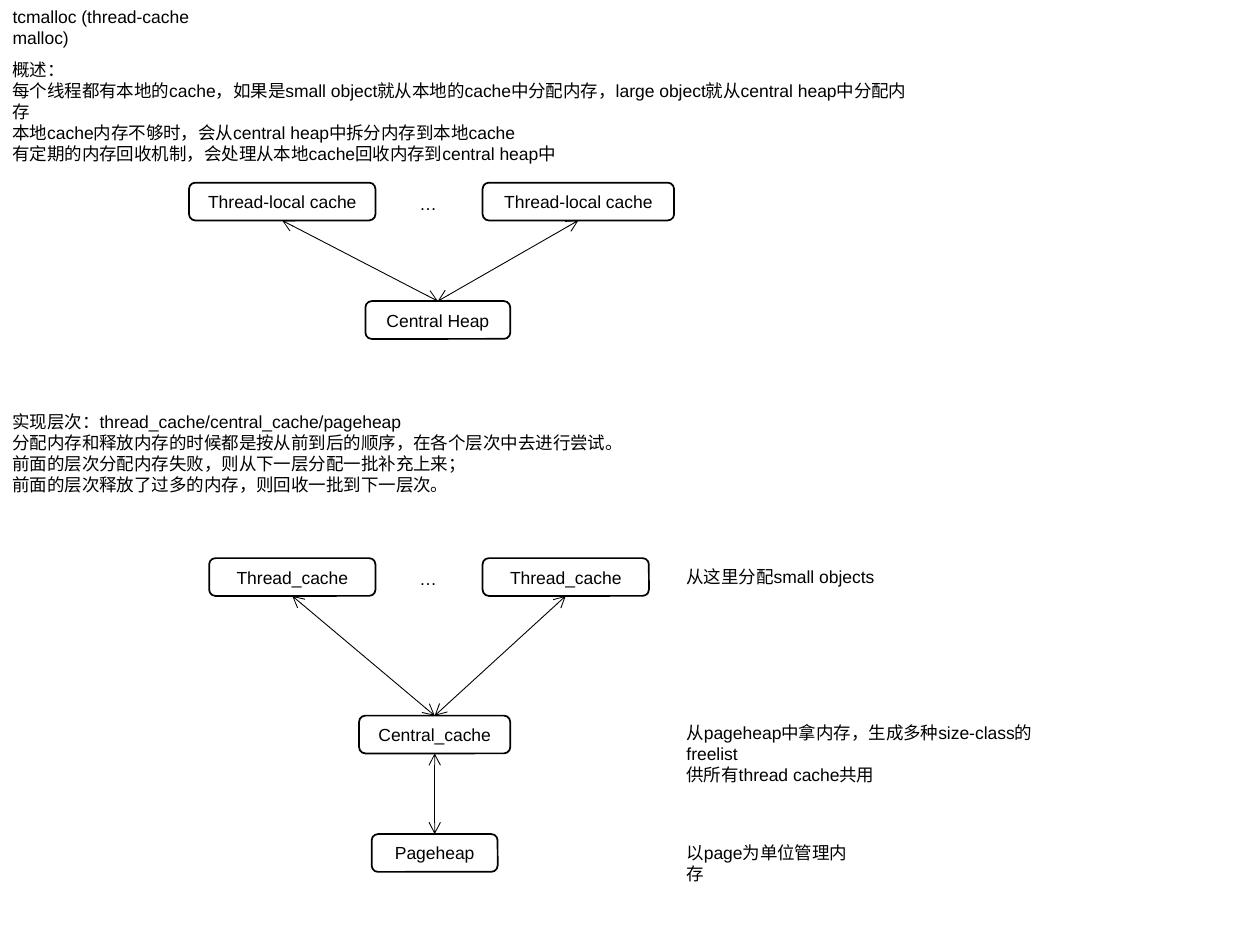
from lxml import etree
from pptx import Presentation, util as u
from pptx.dml.color import RGBColor
from pptx.enum import shapes, text
from pptx.oxml.ns import qn

COLS, ROWS = 100, 75
INK = "000000"
HIGH = 3  # rows in a node

deck = Presentation()
deck.slide_width, deck.slide_height = u.Inches(10), u.Inches(7.5)


def hue(code):
    return RGBColor.from_string(code)


def span(x, y, w, h):
    """Turn grid columns and rows into slide lengths."""
    col, row = deck.slide_width / COLS, deck.slide_height / ROWS
    return [u.Emu(round(v)) for v in (x * col, y * row, w * col, h * row)]


def write(shape, lines, align=text.PP_ALIGN.LEFT, anchor=text.MSO_ANCHOR.TOP):
    frame = shape.text_frame
    frame.text = "\n".join(lines)
    frame.word_wrap = True
    frame.vertical_anchor = anchor
    for para in frame.paragraphs:
        para.alignment = align
        para.font.name, para.font.size = "Arial", u.Pt(10)
        para.font.color.rgb = hue(INK)


def note(parent, box, *lines):
    shape = parent.shapes.add_textbox(*span(*box))
    write(shape, lines)
    shape.text_frame.auto_size = text.MSO_AUTO_SIZE.SHAPE_TO_FIT_TEXT


def node(group, x, y, w, label):
    shape = group.shapes.add_shape(
        shapes.MSO_SHAPE.ROUNDED_RECTANGLE, *span(x, y, w, HIGH))
    shape.shadow.inherit = False
    shape.fill.background()
    shape.line.color.rgb, shape.line.width = hue(INK), u.Pt(1)
    write(shape, [label], text.PP_ALIGN.CENTER, text.MSO_ANCHOR.MIDDLE)
    return shape


def link(group, top, low):
    """Join the bottom of one node to the top of another, arrows at both ends."""
    line = group.shapes.add_connector(shapes.MSO_CONNECTOR.STRAIGHT, 0, 0, 0, 0)
    line.begin_connect(top, 2)
    line.end_connect(low, 0)
    line.line.color.rgb, line.line.width = hue(INK), u.Pt(0.5)
    ends = line.line._get_or_add_ln()
    for tag in ("a:headEnd", "a:tailEnd"):
        etree.SubElement(ends, qn(tag), type="arrow")
    etree.SubElement(line._element.spPr, qn("a:effectLst"))


def tree(slide, x, y, pair, hub):
    """Two peers with dots between them, both linked to a hub below."""
    group = slide.shapes.add_group_shape()
    peers = [node(group, x + dx, y, w, label) for dx, w, label in pair]
    note(group, (x + 17.3, y + 0.3, 3.4, 2.7), "…")
    dx, dy, w, label = hub
    core = node(group, x + dx, y + dy, w, label)
    for peer in peers:
        link(group, peer, core)
    return group, core


def heading(slide, box, words):
    title = slide.shapes.title
    title.left, title.top, title.width, title.height = span(*box)
    write(title, [words])
    title.text_frame.auto_size = text.MSO_AUTO_SIZE.NONE


def heap(slide, x, y):
    name = "Thread-local cache"
    tree(slide, x, y, [(0, 14.8, name), (23.3, 15.2, name)],
         (14, 9.4, 11.5, "Central Heap"))


def layers(slide, x, y):
    name = "Thread_cache"
    group, core = tree(slide, x, y, [(1.6, 13.2, name), (23.3, 13.2, name)],
                       (13.5, 12.5, 12, "Central_cache"))
    link(group, core, node(group, x + 14.5, y + 21.9, 10, "Pageheap"))
    # Remarks beside each level
    side = x + 38.5
    note(group, (side, y + 0.1, 17.1, 2.7), "从这里分配small objects")
    note(group, (side, y + 12.5, 32.3, 4.4),
         "从pageheap中拿内存，生成多种size-class的freelist",
         "供所有thread cache共用")
    note(group, (side, y + 22, 16, 2.7), "以page为单位管理内存")


def main():
    slide = deck.slides.add_slide(deck.slide_layouts[5])
    heading(slide, (0, 0, 19.6, 2.7), "tcmalloc (thread-cache malloc)")

    # Overview
    note(slide, (0, 4.2, 73, 7.7),
         "概述：",
         "每个线程都有本地的cache，如果是small object就从本地的cache中分配内存，"
         "large object就从central heap中分配内存",
         "本地cache内存不够时，会从central heap中拆分内存到本地cache",
         "有定期的内存回收机制，会处理从本地cache回收内存到central heap中")
    heap(slide, 15, 14.5)

    # Implementation levels
    note(slide, (0, 32.1, 68.3, 7.7),
         "实现层次：thread_cache/central_cache/pageheap",
         "分配内存和释放内存的时候都是按从前到后的顺序，在各个层次中去进行尝试。",
         "前面的层次分配内存失败，则从下一层分配一批补充上来；",
         "前面的层次释放了过多的内存，则回收一批到下一层次。")
    layers(slide, 15, 44.3)

    deck.save("out.pptx")


if __name__ == "__main__":
    main()
